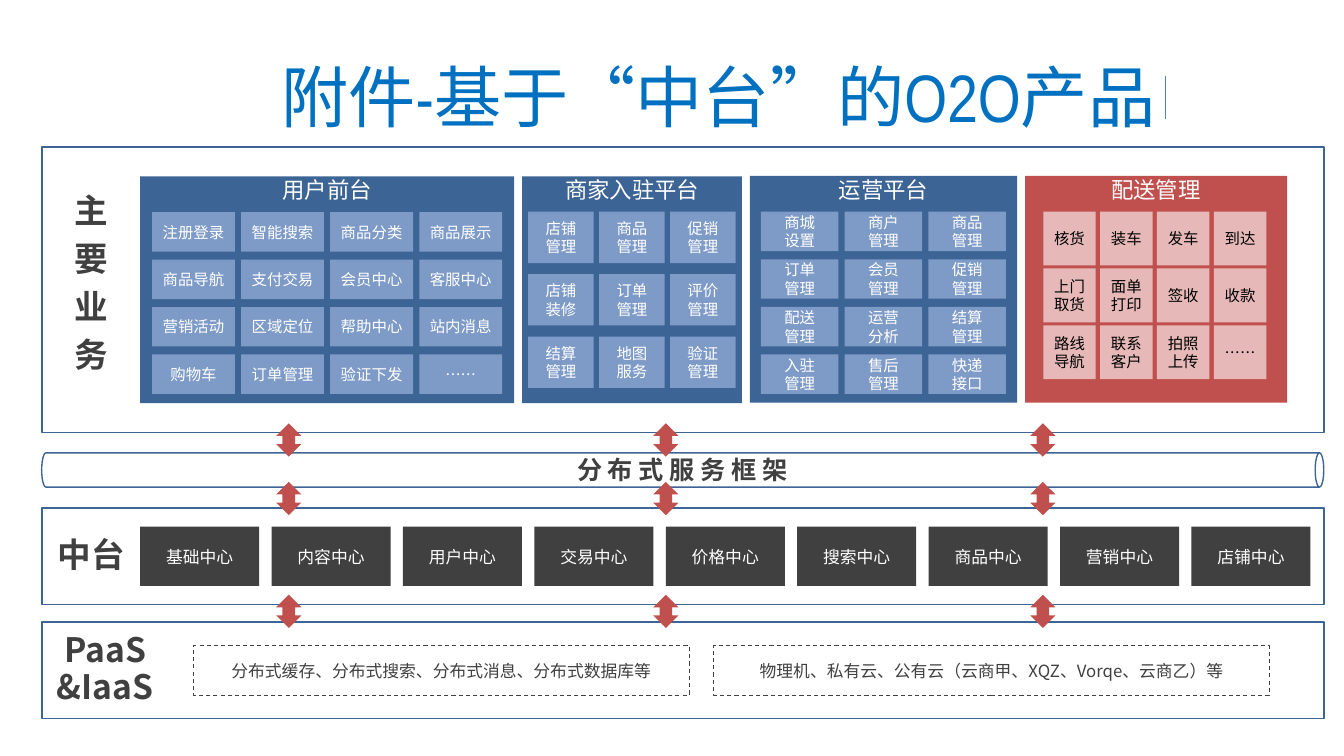
from pptx import Presentation
from pptx.dml.color import RGBColor
from pptx.enum.dml import MSO_LINE
from pptx.enum.shapes import MSO_CONNECTOR, MSO_SHAPE
from pptx.enum.text import MSO_ANCHOR, PP_ALIGN
from pptx.oxml.ns import qn
from pptx.util import Pt
from lxml import etree

RECT, CAN, ARROW = MSO_SHAPE.RECTANGLE, MSO_SHAPE.CAN, MSO_SHAPE.UP_DOWN_ARROW
TOP, MIDDLE = MSO_ANCHOR.TOP, MSO_ANCHOR.MIDDLE
CENTER, RIGHT = PP_ALIGN.CENTER, PP_ALIGN.RIGHT
STRAIGHT, DASH = MSO_CONNECTOR.STRAIGHT, MSO_LINE.DASH

SANS, NARROW = "Noto Sans CJK SC", "Arial Narrow"
TITLE_BLUE = RGBColor(0x00, 0x70, 0xC0)
RULE_BLUE = RGBColor(0x4F, 0x81, 0xBD)
NAVY = RGBColor(0x3C, 0x64, 0x94)
LIGHT_BLUE = RGBColor(0x7E, 0x9B, 0xC8)
RED = RGBColor(0xC0, 0x50, 0x4D)
PINK = RGBColor(0xE6, 0xB9, 0xB8)
GRAY = RGBColor(0x40, 0x40, 0x40)
WHITE = RGBColor(0xFF, 0xFF, 0xFF)
BLACK = RGBColor(0x00, 0x00, 0x00)

prs = Presentation()
prs.slide_width, prs.slide_height = Pt(960), Pt(540)
slide = prs.slides.add_slide(prs.slide_layouts[6])


def add_block(kind, left, top, width, height, fill=None, line=None, weight=1):
    block = slide.shapes.add_shape(kind, Pt(left), Pt(top), Pt(width), Pt(height))
    block.shadow.inherit = False
    if fill is None:
        block.fill.background()
    else:
        block.fill.solid()
        block.fill.fore_color.rgb = fill
    if line is None:
        block.line.fill.background()
    else:
        block.line.color.rgb = line
        block.line.width = Pt(weight)
    return block


def write(shape, text, size, color, bold=False, align=CENTER, anchor=MIDDLE,
          font=SANS, wrap=True, inset=None):
    frame = shape.text_frame
    frame.text = text
    frame.word_wrap = wrap
    frame.vertical_anchor = anchor
    if inset is not None:
        frame.margin_left = frame.margin_right = Pt(inset)
        frame.margin_top = frame.margin_bottom = Pt(inset)
    for paragraph in frame.paragraphs:
        paragraph.alignment = align
        for run in paragraph.runs:
            run.font.name = font
            run.font.size = Pt(size)
            run.font.bold = bold
            run.font.color.rgb = color
            east_asian = etree.SubElement(run.font._element, qn("a:ea"))
            east_asian.set("typeface", SANS)


# Title and the rule beside it
title_rule = slide.shapes.add_connector(STRAIGHT, Pt(832.3), Pt(54), Pt(832.3), Pt(85))
title_rule.line.color.rgb = RULE_BLUE
title_rule.line.width = Pt(0.5)
etree.SubElement(title_rule._element.spPr, qn("a:effectLst"))
title = slide.shapes.add_textbox(Pt(48.2), Pt(46), Pt(784.1), Pt(44.6))
write(title, "附件-基于“中台”的O2O产品", 48, TITLE_BLUE, align=RIGHT, font=NARROW)

# Layer frames and the service framework pipe
for top, height in [(105.1, 203.8), (362.9, 69.1), (444.2, 69.1)]:
    add_block(RECT, 29.9, top, 915.8, height, line=NAVY)
pipe = add_block(CAN, 475.4, -122.2, 24.5, 915.8, line=NAVY)
pipe.rotation = 90
framework = slide.shapes.add_textbox(Pt(400.3), Pt(321.1), Pt(174.2), Pt(28.8))
write(framework, "分 布 式 服 务 框 架", 18, GRAY, bold=True, anchor=TOP, wrap=False)

# Infrastructure boxes
for left, width, services in [
    (138.2, 354.2, "分布式缓存、分布式搜索、分布式消息、分布式数据库等"),
    (509.8, 396.7, "物理机、私有云、公有云（云商甲、XQZ、Vorqe、云商乙）等"),
]:
    infrastructure = add_block(RECT, left, 461.2, width, 35.3, line=GRAY, weight=0.75)
    infrastructure.line.dash_style = DASH
    write(infrastructure, services, 12, GRAY)

# Arrows between layers
for top in (302.4, 344.2, 424.8):
    for column in range(3):
        add_block(ARROW, 197.3 + column * 269.3, top, 18, 23.8, fill=RED)

# Layer names
for left, top, height, name in [
    (30.2, 449.3, 59.8, "PaaS&IaaS"),
    (20.2, 380.9, 33.1, "中台"),
    (20.2, 135.4, 142.6, "主\n要\n业\n务"),
]:
    layer_name = slide.shapes.add_textbox(Pt(left), Pt(top), Pt(90), Pt(height))
    write(layer_name, name, 24, GRAY, bold=True, anchor=TOP)
    for paragraph in layer_name.text_frame.paragraphs:
        paragraph.line_spacing = 0.9
        paragraph.space_after = Pt(8.4)

# Business platforms: heading, panel box, colours, cell grid, rows of functions
# Cell grid: left, top, width, height, column step, row step
platforms = [
    ("用户前台", (100.1, 126, 267.1, 162), NAVY, LIGHT_BLUE, WHITE,
     (108.7, 151.5, 59.2, 28.2, 63.6, 33.9),
     [["注册登录", "智能搜索", "商品分类", "商品展示"],
      ["商品导航", "支付交易", "会员中心", "客服中心"],
      ["营销活动", "区域定位", "帮助中心", "站内消息"],
      ["购物车", "订单管理", "验证下发", "……"]]),
    ("商家入驻平台", (373, 126, 157, 162), NAVY, LIGHT_BLUE, WHITE,
     (377.3, 151.2, 46.8, 36.7, 50.7, 44.6),
     [["店铺管理", "商品管理", "促销管理"],
      ["店铺装修", "订单管理", "评价管理"],
      ["结算管理", "地图服务", "验证管理"]]),
    ("运营平台", (535.7, 125.6, 190.8, 162), NAVY, LIGHT_BLUE, WHITE,
     (543.6, 151.2, 55.4, 28.2, 59.8, 34),
     [["商城\n设置", "商户\n管理", "商品\n管理"],
      ["订单\n管理", "会员\n管理", "促销\n管理"],
      ["配送\n管理", "运营\n分析", "结算\n管理"],
      ["入驻\n管理", "售后\n管理", "快递\n接口"]]),
    ("配送管理", (732.2, 125.6, 187.2, 162), RED, PINK, BLACK,
     (745.2, 151.2, 37.5, 38.5, 40.6, 40.6),
     [["核货", "装车", "发车", "到达"],
      ["上门取货", "面单打印", "签收", "收款"],
      ["路线导航", "联系客户", "拍照上传", "……"]]),
]
for heading, box, panel_fill, cell_fill, cell_color, grid, rows in platforms:
    panel = add_block(RECT, *box, fill=panel_fill)
    write(panel, heading, 16, WHITE, anchor=TOP, inset=0)
    left, top, width, height, column_step, row_step = grid
    for row, functions in enumerate(rows):
        for column, function in enumerate(functions):
            cell = add_block(RECT, left + column * column_step, top + row * row_step,
                             width, height, fill=cell_fill)
            write(cell, function, 11, cell_color)

# Shared service centres
centers = ["基础中心", "内容中心", "用户中心", "交易中心", "价格中心",
           "搜索中心", "商品中心", "营销中心", "店铺中心"]
for index, name in enumerate(centers):
    center = add_block(RECT, 100.1 + index * 93.87, 376.1, 85, 42.5, fill=GRAY)
    write(center, name, 12, WHITE, inset=0)

prs.save("out.pptx")
